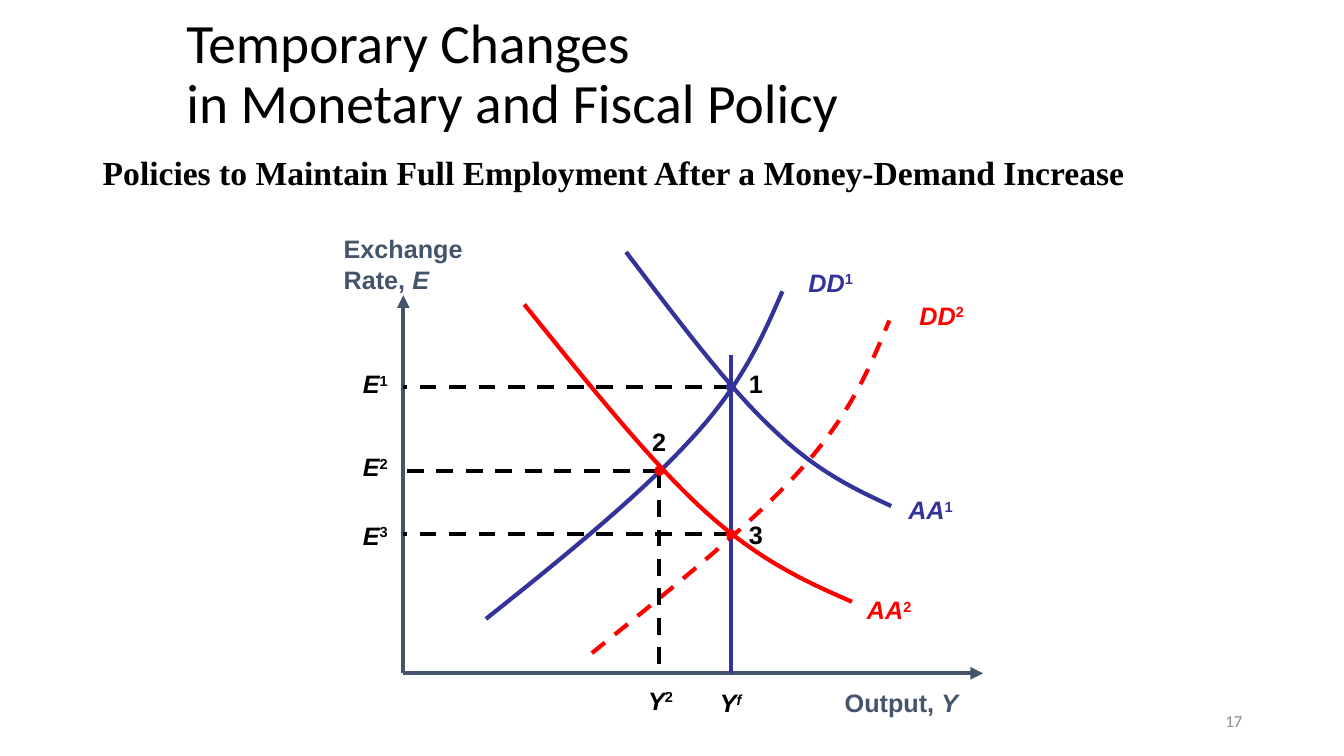
from lxml.etree import SubElement
from pptx import Presentation
from pptx.dml.color import RGBColor
from pptx.enum.dml import MSO_LINE
from pptx.enum.shapes import MSO_CONNECTOR, MSO_SHAPE
from pptx.enum.text import MSO_ANCHOR, PP_ALIGN
from pptx.oxml.ns import qn
from pptx.util import Inches, Pt

BLACK = RGBColor(0x00, 0x00, 0x00)
BLUE = RGBColor(0x33, 0x33, 0x99)
RED = RGBColor(0xFF, 0x00, 0x00)
SLATE = RGBColor(0x44, 0x54, 0x6A)
GRAY = RGBColor(0x8C, 0x8C, 0x8C)

HEAD = {"name": "Calibri", "size": Pt(39.6)}
SUB = {"name": "Times New Roman", "size": Pt(24), "bold": True}
FOOT = {"name": "Calibri", "size": Pt(12)}
LABEL = {"name": "Arial", "size": Pt(18), "bold": True}
SLANT = {"italic": True}

TITLE = "Temporary Changes \vin Monetary and Fiscal Policy"
THEME = "Policies to Maintain Full Employment After a Money-Demand Increase"
MID = {"vertical_anchor": MSO_ANCHOR.MIDDLE, "word_wrap": True}
LOW = {"vertical_anchor": MSO_ANCHOR.BOTTOM, "word_wrap": True}
FREE = {"vertical_anchor": MSO_ANCHOR.TOP, "word_wrap": False}

BLOCKS = [
    ((0.92, 1.42, 11.58, 0.54), [[(THEME, {})]], SUB, BLACK, LOW, {}),
    ((8.28, 6.77, 1.34, 0.4), [[("Output, ", {}), ("Y", SLANT)]],
     LABEL, SLATE, FREE, {}),
    ((3.31, 2.27, 1.38, 0.7), [[("Exchange", {})], [("Rate, ", {}), ("E", SLANT)]],
     LABEL, SLATE, FREE, {}),
    ((1.75, 0.24, 8.5, 1.01), [[(TITLE, {})]], HEAD, BLACK, MID,
     {"line_spacing": 0.9}),
    ((9.42, 6.95, 3, 0.4), [[("17", {})]], FOOT, GRAY, MID,
     {"alignment": PP_ALIGN.RIGHT}),
]

MARKS = [
    (7.92, 2.6, 0.65, "DD", "1", BLUE),
    (9.02, 2.93, 0.65, "DD", "2", RED),
    (8.91, 4.86, 0.65, "AA", "1", BLUE),
    (8.5, 5.85, 0.65, "AA", "2", RED),
    (7.04, 6.77, 0.42, "Y", "f", BLACK),
    (6.33, 6.75, 0.46, "Y", "2", BLACK),
    (3.5, 3.61, 0.46, "E", "1", BLACK),
    (3.5, 4.43, 0.46, "E", "2", BLACK),
    (3.5, 5.11, 0.46, "E", "3", BLACK),
]

CURVES = [
    ([(4.82, 6.14), (5.6, 5.52), (6.37, 4.89), (6.86, 4.35),
      (7.36, 3.81), (7.56, 3.35), (7.76, 2.89)], BLUE, False),
    ([(5.87, 6.48), (6.66, 5.84), (7.46, 5.2), (7.95, 4.65),
      (8.44, 4.1), (8.63, 3.64), (8.82, 3.18)], RED, True),
    ([(6.21, 2.5), (6.72, 3.17), (7.22, 3.84), (7.66, 4.25),
      (8.09, 4.67), (8.47, 4.85), (8.84, 5.02)], BLUE, False),
    ([(5.2, 3.02), (5.83, 3.8), (6.45, 4.58), (6.99, 5.07),
      (7.53, 5.56), (7.99, 5.77), (8.45, 5.97)], RED, False),
]

LEFT, BASE, FULL, SLUMP = 4, 6.68, 7.25, 6.54
AXES = [((LEFT, 2.93), (LEFT, BASE)), ((9.75, BASE), (LEFT, BASE))]
POINTS = [
    ("1", FULL, 3.84, LEFT, (7.33, 3.61), BLUE),
    ("2", SLUMP, 4.67, 3.96, (6.37, 4.18), RED),
    ("3", FULL, 5.3, LEFT, (7.33, 5.1), RED),
]
DOT = 0.09


def apply(item, form):
    for key, value in form.items():
        setattr(item, key, value)


def write(slide, box, lines, font, color, frame, para):
    body = slide.shapes.add_textbox(*map(Inches, box)).text_frame
    apply(body, frame)
    for i, runs in enumerate(lines):
        part = body.add_paragraph() if i else body.paragraphs[0]
        apply(part, para)
        for text, extra in runs:
            if "\v" in text:
                first, text = text.split("\v")
                run = part.add_run()
                run.text = first
                apply(run.font, font)
                run.font.color.rgb = color
                part.add_line_break()
            run = part.add_run()
            run.text = text
            form = {**font, **extra}
            lift = form.pop("lift", None)
            apply(run.font, form)
            run.font.color.rgb = color
            if lift:
                run.font._element.set("baseline", lift)


def stroke(line, color, dash):
    line.color.rgb = color
    line.width = Pt(3)
    if dash:
        line.dash_style = MSO_LINE.DASH


def rule(slide, start, end, color, dash=False, arrow=False):
    link = slide.shapes.add_connector(
        MSO_CONNECTOR.STRAIGHT, *map(Inches, (*start, *end)))
    stroke(link.line, color, dash)
    if arrow:
        SubElement(link.line._get_or_add_ln(), qn("a:headEnd"), type="triangle")
    SubElement(link._element.spPr, qn("a:effectLst"))


def bend(slide, points, color, dash):
    spots = [(Inches(x), Inches(y)) for x, y in points]
    pen = slide.shapes.build_freeform(*spots[0])
    pen.add_line_segments(spots[1:], close=False)
    shape = pen.convert_to_shape()
    track = next(shape._element.iter(qn("a:path")))
    steps = track.findall(qn("a:lnTo"))
    for i in range(0, len(steps), 3):
        cubic = SubElement(track, qn("a:cubicBezTo"))
        for step in steps[i:i + 3]:
            cubic.append(step[0])
            track.remove(step)
    shape.shadow.inherit = False
    shape.fill.background()
    stroke(shape.line, color, dash)


def spot(slide, x, y, color):
    box = (x - DOT / 2, y - DOT / 2, DOT, DOT)
    dot = slide.shapes.add_shape(MSO_SHAPE.OVAL, *map(Inches, box))
    dot.shadow.inherit = False
    dot.fill.solid()
    dot.fill.fore_color.rgb = color
    dot.line.color.rgb = color
    dot.line.width = Pt(0.75)


def main():
    deck = Presentation()
    deck.slide_width, deck.slide_height = Inches(13.33), Inches(7.5)
    slide = deck.slides.add_slide(deck.slide_layouts[6])
    for start, end in AXES:
        rule(slide, start, end, SLATE, arrow=True)
    for curve in CURVES:
        bend(slide, *curve)
    rule(slide, (FULL, 3.52), (FULL, BASE), BLUE)
    rule(slide, (SLUMP, 4.67), (SLUMP, 6.67), BLACK, dash=True)
    for name, x, y, stop, place, color in POINTS:
        rule(slide, (x, y), (stop, y), BLACK, dash=True)
        spot(slide, x, y, color)
        write(slide, (*place, 0.34, 0.4), [[(name, {})]], LABEL, BLACK, FREE, {})
    for x, y, width, name, sup, color in MARKS:
        high = {"italic": sup == "f", "lift": "30000"}
        write(slide, (x, y, width, 0.4), [[(name, SLANT), (sup, high)]],
              LABEL, color, FREE, {})
    for block in BLOCKS:
        write(slide, *block)
    deck.save("out.pptx")


if __name__ == "__main__":
    main()
